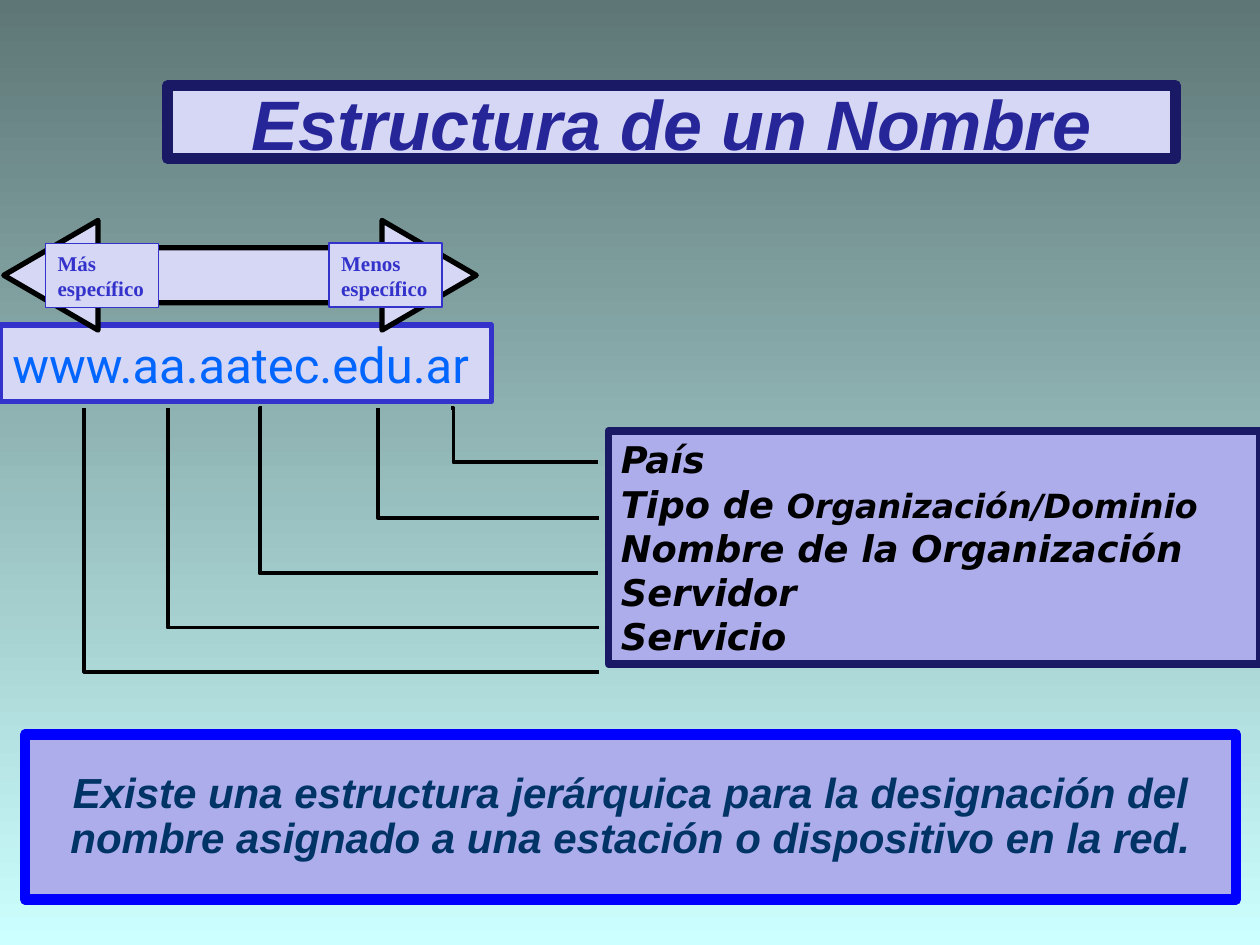
from lxml import etree
from pptx import Presentation
from pptx.dml.color import RGBColor
from pptx.enum.shapes import MSO_CONNECTOR, MSO_SHAPE
from pptx.enum.text import MSO_ANCHOR, PP_ALIGN
from pptx.oxml.ns import qn
from pptx.util import Inches, Pt

RECT, ARROW = MSO_SHAPE.RECTANGLE, MSO_SHAPE.LEFT_RIGHT_ARROW
ELBOW = MSO_CONNECTOR.ELBOW
LEFT, CENTER = PP_ALIGN.LEFT, PP_ALIGN.CENTER
MIDDLE = MSO_ANCHOR.MIDDLE

COLORS = {
    "sky_top": "5E7676", "sky_end": "CCFFFF", "pale": "D6D6F5",
    "lilac": "ADADEB", "navy": "191966", "title": "262699",
    "blue": "0000FF", "indigo": "3333CC", "link": "0066FF",
    "note": "003366", "black": "000000",
}

# Each paragraph is a list of (text, size) runs.
TITLE = [[("Estructura de un Nombre", 40)]]
NOTE = [[("Existe una estructura jerárquica para la designación del nombre "
          "asignado a una estación o dispositivo en la red.", 24)]]
HOST = [[("www.aa.aatec.edu.ar", 28)]]
PARTS = [
    [("País", 21)],
    [("Tipo de ", 21), ("Organización/Dominio", 19)],
    [("Nombre de la Organización", 21)],
    [("Servidor", 21)],
    [("Servicio", 21)],
]
# Caption, left edge, border width
ENDS = [("Más", 0.36, 0.75), ("Menos", 2.61, 1)]

# Start x, x of the vertical stretch, end y
LINKS = [(3.58, 3.6, 3.67), (3, 3, 4.11), (2.08, 2.06, 4.55),
         (1.33, 1.33, 4.98), (0.67, 0.67, 5.33)]
LINK_TOP, LINK_END = 3.24, 4.75


def color(name):
    return RGBColor.from_string(COLORS[name])


def add_box(slide, kind, place, fill, line, width):
    box = slide.shapes.add_shape(kind, *map(Inches, place))
    box.shadow.inherit = False
    box.fill.solid()
    box.fill.fore_color.rgb = color(fill)
    box.line.color.rgb = color(line)
    box.line.width = Pt(width)
    return box


def write(box, paras, face, ink, bold=True, italic=False, align=LEFT,
          wrap=True, space=None):
    frame = box.text_frame
    frame.word_wrap = wrap
    frame.vertical_anchor = MIDDLE
    for i, runs in enumerate(paras):
        para = frame.add_paragraph() if i else frame.paragraphs[0]
        para.alignment = align
        if space:
            para.line_spacing = space
        for text, size in runs:
            run = para.add_run()
            run.text = text
            font = run.font
            font.name, font.size = face, Pt(size)
            font.bold, font.italic = bold, italic
            font.color.rgb = color(ink)


def add_link(slide, start, bend, end):
    link = slide.shapes.add_connector(
        ELBOW, *map(Inches, (start, LINK_TOP, LINK_END, end)))
    link.line.color.rgb = color("black")
    link.line.width = Pt(2.25)
    props = link._element.spPr
    etree.SubElement(props, qn("a:effectLst"))
    geom = props.find(qn("a:prstGeom"))
    guides = geom.find(qn("a:avLst"))
    if guides is None:
        guides = etree.SubElement(geom, qn("a:avLst"))
    ratio = round((bend - start) / (LINK_END - start) * 100000)
    etree.SubElement(guides, qn("a:gd"), name="adj1", fmla=f"val {ratio}")


def main():
    deck = Presentation()
    deck.slide_width, deck.slide_height = Inches(10), Inches(7.5)
    slide = deck.slides.add_slide(deck.slide_layouts[6])

    back = slide.background.fill
    back.gradient()
    back.gradient_angle = 270
    for stop, name, pos in zip(back.gradient_stops, ("sky_top", "sky_end"), (0, 1)):
        stop.color.rgb = color(name)
        stop.position = pos

    title = add_box(slide, RECT, (1.33, 0.68, 8, 0.58), "pale", "navy", 6)
    write(title, TITLE, "Arial", "title", italic=True, align=CENTER)

    note = add_box(slide, RECT, (0.2, 5.83, 9.61, 1.31), "lilac", "blue", 6)
    write(note, NOTE, "Arial", "note", italic=True, align=CENTER, space=0.9)

    host = add_box(slide, RECT, (0, 2.58, 3.9, 0.61), "pale", "indigo", 3)
    write(host, HOST, "Roboto", "link", bold=False)

    parts = add_box(slide, RECT, (4.83, 3.42, 5.17, 1.85), "lilac", "navy", 4.5)
    write(parts, PARTS, "DejaVu Sans", "black", italic=True)

    for start, bend, end in LINKS:
        add_link(slide, start, bend, end)

    arrow = add_box(slide, ARROW, (0.03, 1.75, 3.75, 0.87), "pale", "black", 3)
    arrow.adjustments[0], arrow.adjustments[1] = 0.5, 0.86

    for word, left, width in ENDS:
        tag = add_box(slide, RECT, (left, 1.93, 0.9, 0.51), "pale", "indigo", width)
        write(tag, [[(word, 12)], [("específico", 12)]], "Times New Roman",
              "indigo", wrap=False)

    deck.save("out.pptx")


if __name__ == "__main__":
    main()
